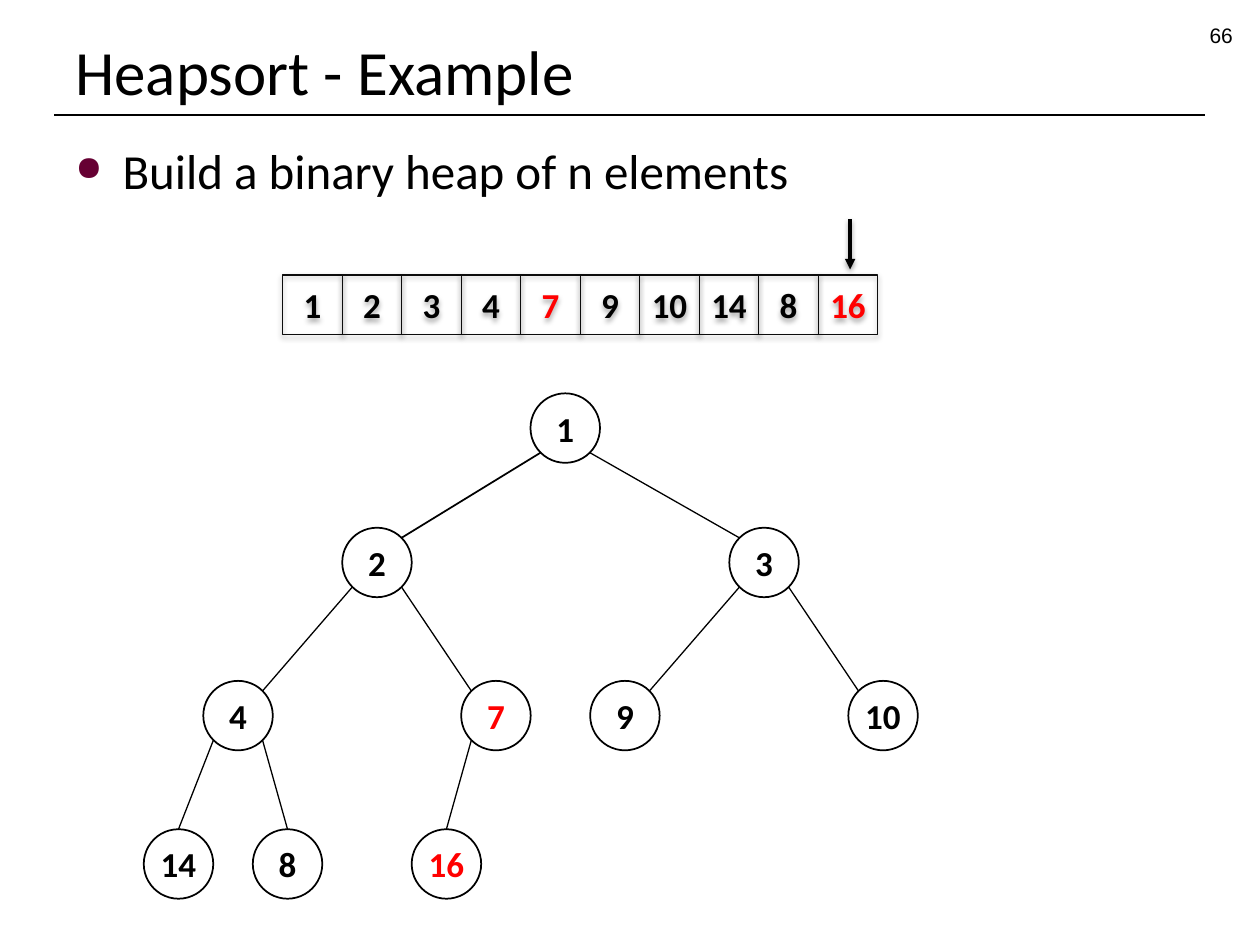
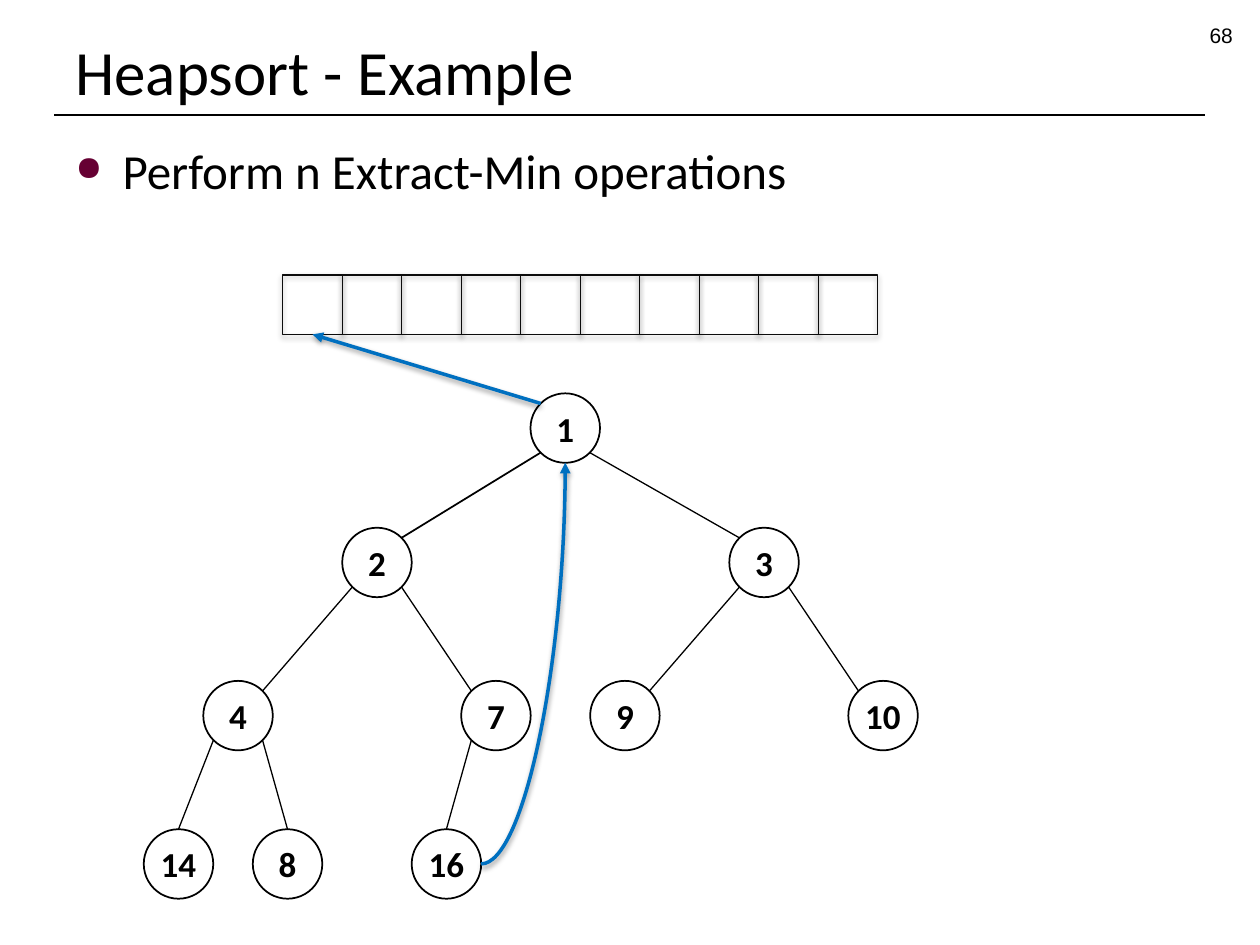
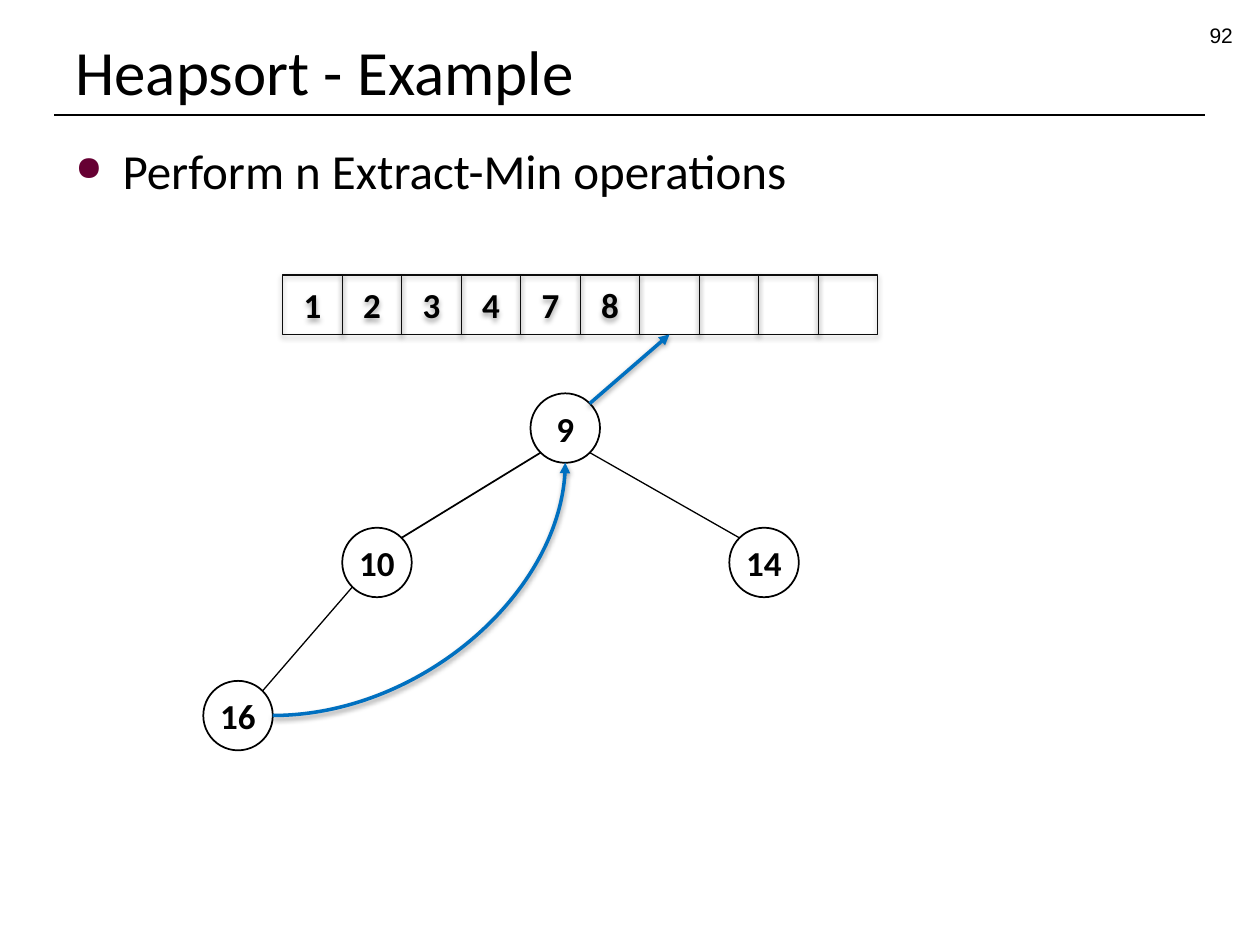
import math

import lxml.etree
import pptx
import pptx.dml.color
import pptx.enum.shapes
import pptx.enum.text
import pptx.oxml.ns
import pptx.util

Pt = pptx.util.Pt
CONNECTOR = pptx.enum.shapes.MSO_CONNECTOR
SHAPE = pptx.enum.shapes.MSO_SHAPE
ALIGN = pptx.enum.text.PP_ALIGN
ANCHOR = pptx.enum.text.MSO_ANCHOR

COLORS = {
    "text": "000000",
    "cell_line": "0D0D0D",
    "highlight": "FF0000",
    "move": "0070C0",
    "bullet": "660033",
}

CELL_COUNT = 10
CELL_SIZE = 34
ARRAY_LEFT = 161.6
ARRAY_TOP = 157.1

RADIUS = 19.85
DIAGONAL = RADIUS * math.sqrt(0.5)
LEVEL_CENTERS_Y = [244.6, 321.4, 408.9, 493.7]
# Node centres from left to right, one row per heap level
LEVEL_CENTERS_X = [
    [323],
    [215.4, 436.6],
    [136, 283.4, 357.1, 504.6],
    [102, 164.3, 255.1],
]
NODE_CENTERS = [
    (x, y) for row, y in zip(LEVEL_CENTERS_X, LEVEL_CENTERS_Y) for x in row
]


def rgb(name):
    return pptx.dml.color.RGBColor.from_string(COLORS[name])


def add_xml(parent, tag, **attributes):
    child = lxml.etree.SubElement(parent, pptx.oxml.ns.qn(tag))
    for name, value in attributes.items():
        child.set(name, str(value))
    return child


def set_effect(shape, shadow_alpha=0, distance=0):
    """Replace the theme effect with a downward shadow, or with none."""
    effects = add_xml(shape._element.spPr, "a:effectLst")
    if shadow_alpha:
        shadow = add_xml(
            effects, "a:outerShdw", blurRad=Pt(3.1), dist=Pt(distance),
            dir=90 * 60000, rotWithShape=0,
        )
        color = add_xml(shadow, "a:srgbClr", val=COLORS["text"])
        add_xml(color, "a:alpha", val=shadow_alpha * 1000)


def write(text_frame, text, size, font="Calibri", color="text", bold=False):
    text_frame.text = text
    paragraph = text_frame.paragraphs[0]
    for run in paragraph.runs:
        run.font.name = font
        run.font.size = Pt(size)
        run.font.bold = bold
        run.font.color.rgb = rgb(color)
    return paragraph


def add_text(slide, box, text, size, font="Calibri", anchor=ANCHOR.TOP):
    text_frame = slide.shapes.add_textbox(*map(Pt, box)).text_frame
    text_frame.word_wrap = True
    text_frame.vertical_anchor = anchor
    return write(text_frame, text, size, font)


def add_bullet(paragraph):
    properties = paragraph._p.get_or_add_pPr()
    properties.set("marL", str(Pt(27)))
    properties.set("indent", str(Pt(-27)))
    add_xml(add_xml(properties, "a:spcBef"), "a:spcPct", val=20000)
    add_xml(add_xml(properties, "a:buClr"), "a:srgbClr", val=COLORS["bullet"])
    add_xml(properties, "a:buSzPct", val=70000)
    add_xml(properties, "a:buChar", char="●")


def add_line(slide, start, end, width=0.75, color="text", kind=CONNECTOR.STRAIGHT):
    line = slide.shapes.add_connector(kind, *map(Pt, start + end))
    line.line.width = Pt(width)
    line.line.color.rgb = rgb(color)
    return line


def add_plain_line(slide, start, end, width=0.75):
    set_effect(add_line(slide, start, end, width))


def add_arrow(slide, start, end, color="move", kind=CONNECTOR.STRAIGHT):
    arrow = add_line(slide, start, end, 2, color, kind)
    add_xml(arrow.line._get_or_add_ln(), "a:tailEnd", type="triangle")
    set_effect(arrow, shadow_alpha=38, distance=1.6)
    return arrow


def add_value_shape(slide, kind, box, value, highlights, line_color, line_width):
    shape = slide.shapes.add_shape(kind, *map(Pt, box))
    shape.fill.background()
    shape.line.color.rgb = rgb(line_color)
    shape.line.width = Pt(line_width)
    text_frame = shape.text_frame
    text_frame.word_wrap = False
    text_frame.vertical_anchor = ANCHOR.MIDDLE
    if value is not None:
        color = "highlight" if value in highlights else "text"
        paragraph = write(text_frame, str(value), 20, color=color, bold=True)
        paragraph.alignment = ALIGN.CENTER
    return shape


def add_array(slide, values, highlights=()):
    for index in range(CELL_COUNT):
        value = values[index] if index < len(values) else None
        box = (ARRAY_LEFT + index * CELL_SIZE, ARRAY_TOP, CELL_SIZE, CELL_SIZE)
        cell = add_value_shape(
            slide, SHAPE.RECTANGLE, box, value, highlights, "cell_line", 0.75
        )
        set_effect(cell, shadow_alpha=35, distance=1.8)


def add_edge(slide, index):
    """Join the node at a heap index to its parent."""
    parent_x, parent_y = NODE_CENTERS[(index - 1) // 2]
    x, y = NODE_CENTERS[index]
    side = math.copysign(DIAGONAL, x - parent_x)
    start = (parent_x + side, parent_y + DIAGONAL)
    if y == LEVEL_CENTERS_Y[-1]:
        end = (x, y - RADIUS)
    else:
        end = (x - side, y - DIAGONAL)
    add_plain_line(slide, start, end, 1 if index == 1 else 0.75)


def add_heap(slide, values, highlights=()):
    for index, value in enumerate(values):
        x, y = NODE_CENTERS[index]
        box = (x - RADIUS, y - RADIUS, 2 * RADIUS, 2 * RADIUS)
        node = add_value_shape(slide, SHAPE.OVAL, box, value, highlights, "text", 1)
        set_effect(node)
        if index:
            add_edge(slide, index)


def add_extract_arrows(slide, heap_size, cell_index):
    """Show the root moving to a cell and the last node moving to the root."""
    root_x, root_y = NODE_CENTERS[0]
    cell_x = ARRAY_LEFT + (cell_index + 0.5) * CELL_SIZE
    side = math.copysign(DIAGONAL, cell_x - root_x)
    add_arrow(
        slide, (root_x + side, root_y - DIAGONAL), (cell_x, ARRAY_TOP + CELL_SIZE)
    )
    last_x, last_y = NODE_CENTERS[heap_size - 1]
    curve = add_arrow(
        slide, (last_x + RADIUS, last_y), (root_x, root_y + RADIUS),
        kind=CONNECTOR.CURVE,
    )
    geometry = curve._element.spPr.find(pptx.oxml.ns.qn("a:prstGeom"))
    geometry.set("prst", "curvedConnector2")


def add_heapsort_slide(presentation, number, step):
    slide = presentation.slides.add_slide(presentation.slide_layouts[6])
    add_plain_line(slide, (31, 65.8), (688.8, 65.8))
    add_bullet(add_text(slide, (36, 77, 648, 448), step, 28))
    add_text(slide, (36, 9.4, 675, 56), "Heapsort - Example", 36, anchor=ANCHOR.BOTTOM)
    page = add_text(slide, (543.6, 9.4, 168, 20), str(number), 12, "Arial")
    page.alignment = ALIGN.RIGHT
    return slide


def main():
    presentation = pptx.Presentation()
    presentation.slide_width = Pt(720)
    presentation.slide_height = Pt(540)

    full_heap = [1, 2, 3, 4, 7, 9, 10, 14, 8, 16]
    extract_step = "Perform n Extract-Min operations"

    slide = add_heapsort_slide(presentation, 66, "Build a binary heap of n elements")
    swapped = {7, 16}
    add_array(slide, full_heap, swapped)
    add_heap(slide, full_heap, swapped)
    add_arrow(slide, (485.8, 125.3), (485.8, 154), color="text")

    extractions = [
        (68, [], full_heap),
        (92, [1, 2, 3, 4, 7, 8], [9, 10, 14, 16]),
    ]
    for number, extracted, heap in extractions:
        slide = add_heapsort_slide(presentation, number, extract_step)
        add_array(slide, extracted)
        add_heap(slide, heap)
        add_extract_arrows(slide, len(heap), len(extracted))

    presentation.save("out.pptx")


if __name__ == "__main__":
    main()
